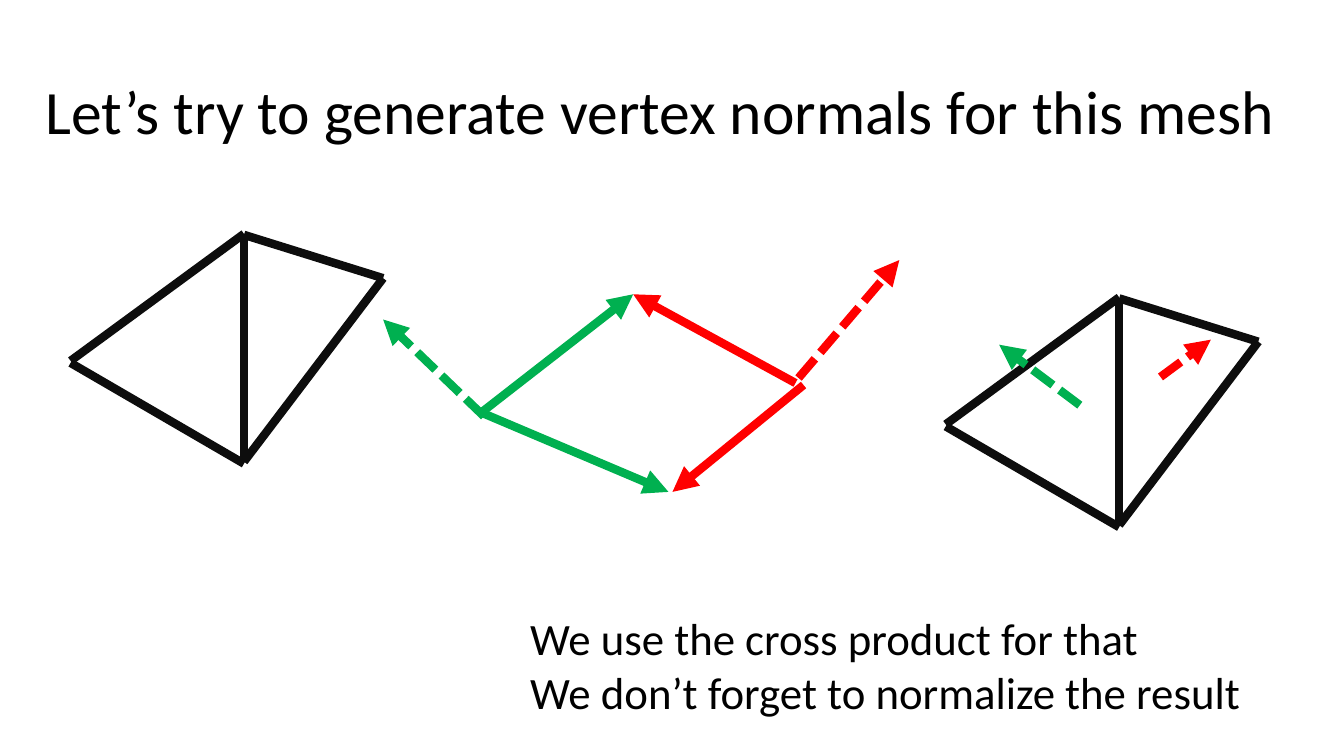
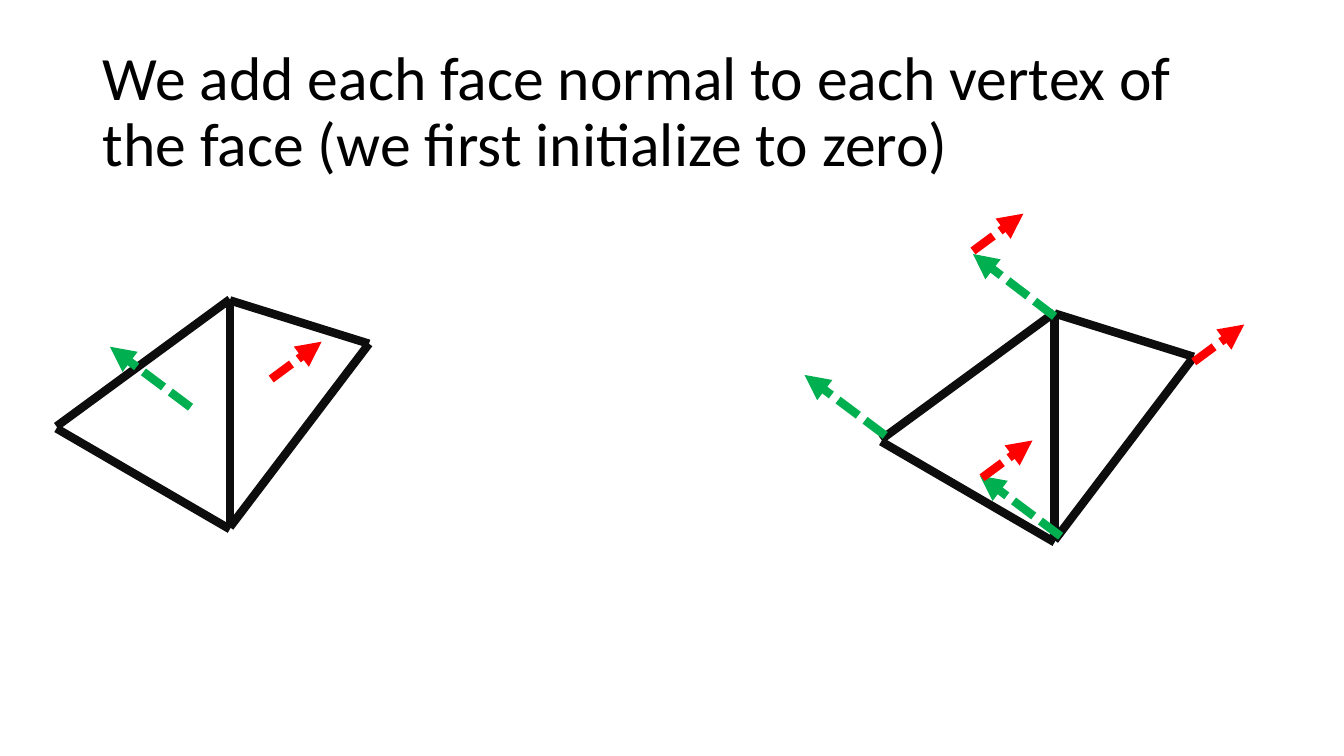
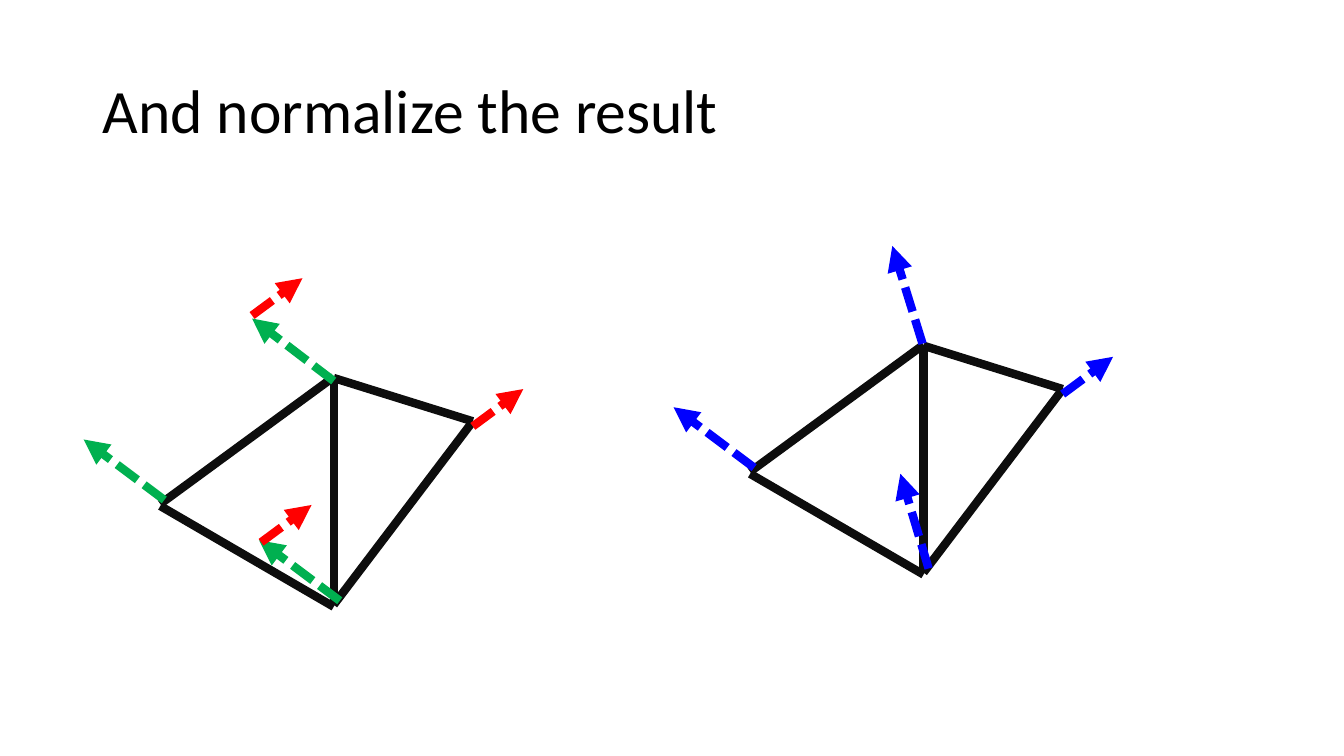
import pptx
import pptx.dml.color
import pptx.enum.dml
import pptx.enum.shapes
import pptx.enum.text
import pptx.oxml.ns
import pptx.util
from lxml import etree
from pptx.util import Inches


class Theme:
    font = "Calibri"
    title_size, note_size, line_width = 44, 32, 6
    text, edge = "000000", "0D0D0D"
    green, red, blue = "00B050", "FF0000", "0000FF"


TITLE_BOX = (0.92, 0.4, 11.5, 1.45)
WIDE_TITLE_BOX = (0.35, 0.41, 12.62, 1.45)
NOTE_BOX = (5.16, 6.01, 7.32, 1.18)

# Mesh edges as (start, end), measured from the top vertex
MESH_EDGES = [
    ((-1.72, 1.25), (0, -0.01)),
    ((0, 2.25), (0, 0)),
    ((0, 2.25), (1.38, 0.43)),
    ((0, 0), (1.38, 0.43)),
    ((-1.72, 1.27), (0, 2.27)),
]

# Normals as (start, direction, colour), measured from the top vertex
GREEN_NORMAL, RED_NORMAL = (-0.8, -0.6), (0.5, -0.37)
RIGHT_VERTEX, LEFT_VERTEX = (1.38, 0.48), (-1.68, 1.21)
FACE_NORMALS = [
    ((0.41, 0.78), RED_NORMAL, Theme.red),
    ((-0.39, 1.06), GREEN_NORMAL, Theme.green),
]
ADDED_NORMALS = [
    (RIGHT_VERTEX, RED_NORMAL, Theme.red),
    (LEFT_VERTEX, GREEN_NORMAL, Theme.green),
    ((0, 0.03), (-0.81, -0.62), Theme.green),
    ((0.06, 2.21), GREEN_NORMAL, Theme.green),
    ((-0.81, -0.62), RED_NORMAL, Theme.red),
    ((-0.72, 1.63), RED_NORMAL, Theme.red),
]
UNIT_NORMALS = [
    (RIGHT_VERTEX, RED_NORMAL, Theme.blue),
    (LEFT_VERTEX, GREEN_NORMAL, Theme.blue),
    ((-0.01, -0.02), (-0.3, -0.97), Theme.blue),
    ((0.05, 2.21), (-0.28, -0.94), Theme.blue),
]

# Cross product arrows as (start, end, colour, dashed)
CROSS_PRODUCT = [
    ((4.79, 4.08), (6.28, 2.92), Theme.green, False),
    ((4.79, 4.1), (6.63, 4.88), Theme.green, False),
    ((7.97, 3.82), (6.67, 4.88), Theme.red, False),
    ((7.89, 3.8), (6.28, 2.92), Theme.red, False),
    ((7.92, 3.75), (8.92, 2.58), Theme.red, True),
    ((4.8, 4.13), (3.8, 3.17), Theme.green, True),
]

# Meshes are (top vertex, normals)
SLIDES = [
    {
        "title": "Let’s try to generate vertex normals for this mesh",
        "title_box": WIDE_TITLE_BOX,
        "note": "We use the cross product for that\vWe don’t forget to normalize the result",
        "arrows": CROSS_PRODUCT,
        "meshes": [((2.42, 2.33), []), ((11.1, 2.96), FACE_NORMALS)],
    },
    {
        "title": "We add each face normal to each vertex of the face (we first initialize to zero)",
        "meshes": [((2.28, 2.98), FACE_NORMALS), ((10.46, 3.11), ADDED_NORMALS)],
    },
    {
        "title": "And normalize the result",
        "meshes": [((3.31, 3.75), ADDED_NORMALS), ((9.16, 3.43), UNIT_NORMALS)],
    },
]


def shift(point, offset):
    return point[0] + offset[0], point[1] + offset[1]


def add_text(s, box, text, size):
    tf = s.shapes.add_textbox(*map(Inches, box)).text_frame
    p = tf.paragraphs[0]
    p.text = text
    p.font.name = Theme.font
    p.font.size = pptx.util.Pt(size)
    p.font.color.rgb = pptx.dml.color.RGBColor.from_string(Theme.text)
    return tf


def add_title(s, text, box):
    tf = add_text(s, box, text, Theme.title_size)
    tf.word_wrap = True
    tf.vertical_anchor = pptx.enum.text.MSO_ANCHOR.MIDDLE
    tf.paragraphs[0].line_spacing = 0.9


def add_note(s, text):
    tf = add_text(s, NOTE_BOX, text, Theme.note_size)
    tf.word_wrap = False
    tf.auto_size = pptx.enum.text.MSO_AUTO_SIZE.SHAPE_TO_FIT_TEXT


def add_line(s, start, end, color):
    line = s.shapes.add_connector(
        pptx.enum.shapes.MSO_CONNECTOR.STRAIGHT, *map(Inches, (*start, *end)))
    line.line.color.rgb = pptx.dml.color.RGBColor.from_string(color)
    line.line.width = pptx.util.Pt(Theme.line_width)
    etree.SubElement(line._element.spPr, pptx.oxml.ns.qn("a:effectLst"))
    return line


def add_arrow(s, start, end, color, dashed=True):
    line = add_line(s, start, end, color).line
    if dashed:
        line.dash_style = pptx.enum.dml.MSO_LINE.SQUARE_DOT
    etree.SubElement(line._get_or_add_ln(), pptx.oxml.ns.qn("a:tailEnd"), type="triangle")


def add_mesh(s, top, normals):
    for start, end in MESH_EDGES:
        add_line(s, shift(top, start), shift(top, end), Theme.edge)
    for start, direction, color in normals:
        base = shift(top, start)
        add_arrow(s, base, shift(base, direction), color)


def main():
    prs = pptx.Presentation()
    prs.slide_width, prs.slide_height = Inches(13.33), Inches(7.5)
    for content in SLIDES:
        s = prs.slides.add_slide(prs.slide_layouts[6])
        add_title(s, content["title"], content.get("title_box", TITLE_BOX))
        if "note" in content:
            add_note(s, content["note"])
        for arrow in content.get("arrows", []):
            add_arrow(s, *arrow)
        for top, normals in content["meshes"]:
            add_mesh(s, top, normals)
    prs.save("out.pptx")


if __name__ == "__main__":
    main()
